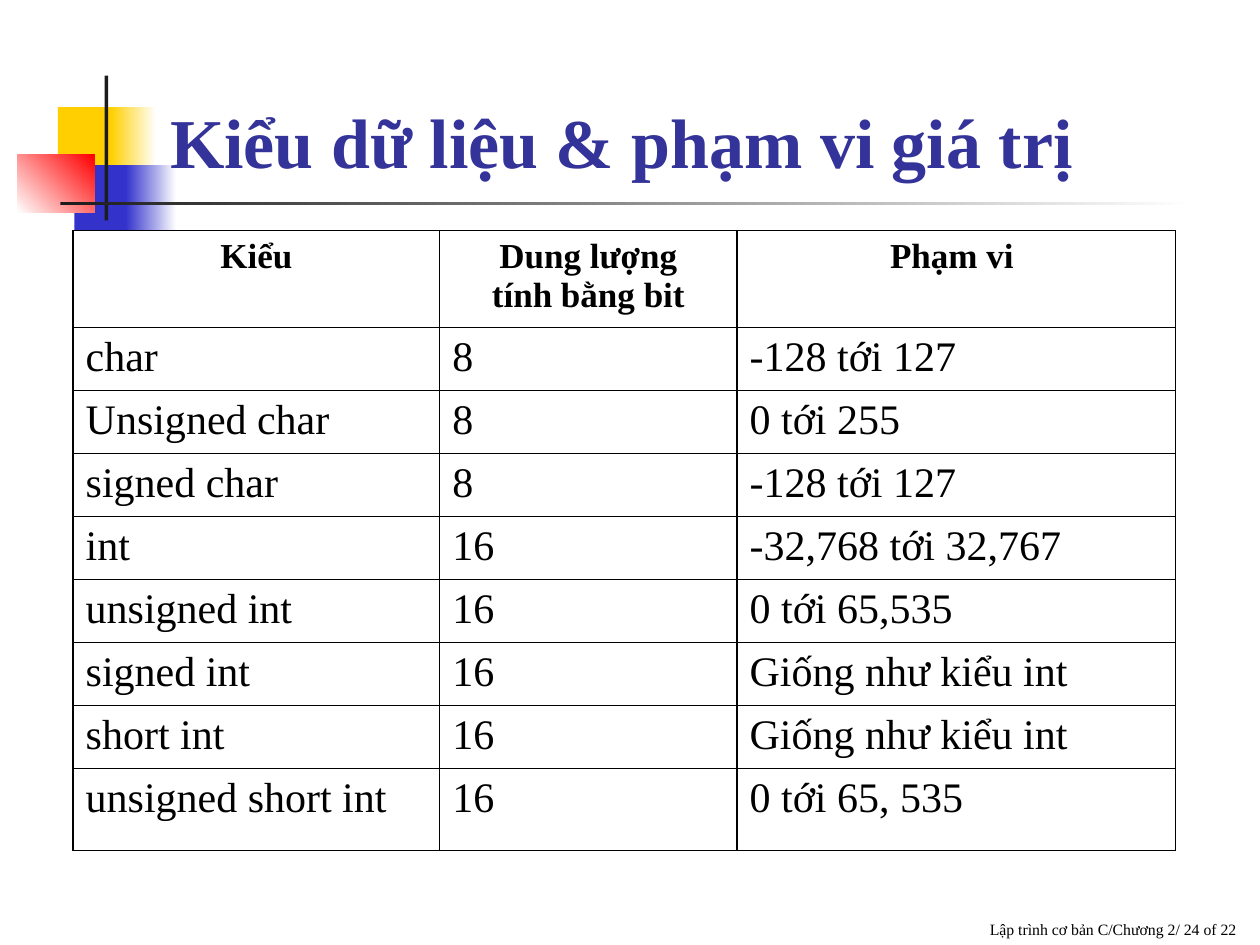
from lxml.etree import SubElement
from pptx import Presentation
from pptx.dml.color import RGBColor
from pptx.enum.shapes import MSO_SHAPE as Preset
from pptx.enum.text import MSO_ANCHOR as Anchor, MSO_AUTO_SIZE as AutoSize, PP_ALIGN as Align
from pptx.oxml.ns import qn
from pptx.util import Inches, Pt

FONT = "Times New Roman"
BLACK = RGBColor(0x00, 0x00, 0x00)
WHITE = RGBColor(0xFF, 0xFF, 0xFF)
CHARCOAL = RGBColor(0x1C, 0x1C, 0x1C)
YELLOW = RGBColor(0xFF, 0xCF, 0x01)
BLUE = RGBColor(0x33, 0x33, 0xCC)
RED = RGBColor(0xFF, 0x00, 0x00)
INDIGO = RGBColor(0x33, 0x33, 0x99)

# Left, top, width, height, colours from start to end, gradient angle
DECORATIONS = [
    (0.46, 0.85, 0.48, 0.52, [YELLOW], 0),
    (0.88, 0.85, 0.36, 0.52, [YELLOW, WHITE], 0),
    (0.59, 1.31, 0.46, 0.52, [BLUE], 0),
    (1.00, 1.31, 0.40, 0.52, [BLUE, WHITE], 0),
    (0.14, 1.23, 0.61, 0.46, [WHITE, RED], 45),
    (0.83, 0.60, 0.03, 1.15, [CHARCOAL], 0),
    (0.48, 1.60, 9.00, 0.03, [CHARCOAL, WHITE], 0),
]

COLUMN_WIDTHS = [2.91, 2.36, 3.48]
HEADER_HEIGHT, ROW_HEIGHT, LAST_HEIGHT = 0.77, 0.5, 0.65
TYPES = [
    ("Kiểu", "Dung lượng\ntính bằng bit", "Phạm vi "),
    ("char", "8", "-128 tới 127"),
    ("Unsigned char", "8", "0 tới 255"),
    ("signed char", "8", "-128 tới 127"),
    ("int", "16", "-32,768 tới 32,767"),
    ("unsigned int", "16", "0 tới 65,535"),
    ("signed int", "16", "Giống như kiểu int"),
    ("short int", "16", "Giống như kiểu int"),
    ("unsigned short int", "16", "0 tới 65, 535"),
]


def write_text(frame, text, size, color=BLACK, bold=False, align=Align.LEFT):
    frame.text = text
    for paragraph in frame.paragraphs:
        paragraph.alignment = align
        for run in paragraph.runs:
            font = run.font
            font.name, font.size, font.bold = FONT, Pt(size), bold
            font.color.rgb = color


def place(shape, left, top, width, height):
    shape.left, shape.top = Inches(left), Inches(top)
    shape.width, shape.height = Inches(width), Inches(height)


def add_block(slide, left, top, width, height, colors, angle):
    box = [Inches(value) for value in (left, top, width, height)]
    shape = slide.shapes.add_shape(Preset.RECTANGLE, *box)
    shape.shadow.inherit = False
    shape.line.fill.background()
    if len(colors) == 1:
        shape.fill.solid()
        shape.fill.fore_color.rgb = colors[0]
        return
    shape.fill.gradient()
    shape.fill.gradient_angle = angle
    for stop, color in zip(shape.fill.gradient_stops, colors):
        stop.color.rgb = color


def add_title(slide, text):
    title = slide.shapes.title
    place(title, 1.25, 0.58, 8.25, 0.92)
    frame = title.text_frame
    frame.word_wrap = True
    frame.auto_size = AutoSize.NONE
    frame.vertical_anchor = Anchor.BOTTOM
    write_text(frame, text, 40, color=INDIGO, bold=True)
    # Bring the title in front of the decorations
    title.element.getparent().append(title.element)


def add_footer(slide, text):
    box = slide.shapes.add_textbox(Inches(3.83), Inches(7), Inches(6.08), Inches(0.5))
    box.text_frame.word_wrap = True
    box.text_frame.vertical_anchor = Anchor.BOTTOM
    write_text(box.text_frame, text, 9, align=Align.RIGHT)


def set_borders(cell, color=BLACK, width=1):
    properties = cell._tc.get_or_add_tcPr()
    for index, side in enumerate(("a:lnL", "a:lnR", "a:lnT", "a:lnB")):
        line = SubElement(properties, qn(side), w=str(Pt(width)))
        fill = SubElement(line, qn("a:solidFill"))
        SubElement(fill, qn("a:srgbClr"), val=str(color))
        # Borders come before the fill of the cell
        properties.insert(index, line)


def add_type_table(slide, rows):
    heights = [HEADER_HEIGHT] + [ROW_HEIGHT] * (len(rows) - 2) + [LAST_HEIGHT]
    frame = slide.shapes.add_table(
        len(rows), len(COLUMN_WIDTHS), Inches(0.58), Inches(1.83),
        Inches(sum(COLUMN_WIDTHS)), Inches(sum(heights)))
    table = frame.table
    table.horz_banding = False
    for column, width in zip(table.columns, COLUMN_WIDTHS):
        column.width = Inches(width)
    for index, (row, height, texts) in enumerate(zip(table.rows, heights, rows)):
        row.height = Inches(height)
        header = index == 0
        for cell, text in zip(row.cells, texts):
            cell.fill.background()
            set_borders(cell)
            write_text(cell.text_frame, text, 20 if header else 24, bold=header,
                       align=Align.CENTER if header else Align.JUSTIFY)


def main():
    presentation = Presentation()
    presentation.slide_width, presentation.slide_height = Inches(10), Inches(7.5)
    slide = presentation.slides.add_slide(presentation.slide_layouts[5])

    # Coloured squares and rules beside the title
    for decoration in DECORATIONS:
        add_block(slide, *decoration)

    # Text and table
    add_footer(slide, " Lập trình cơ bản C/Chương 2/ 24 of 22")
    add_title(slide, "Kiểu dữ liệu & phạm vi giá trị")
    add_type_table(slide, TYPES)

    presentation.save("out.pptx")


if __name__ == "__main__":
    main()
